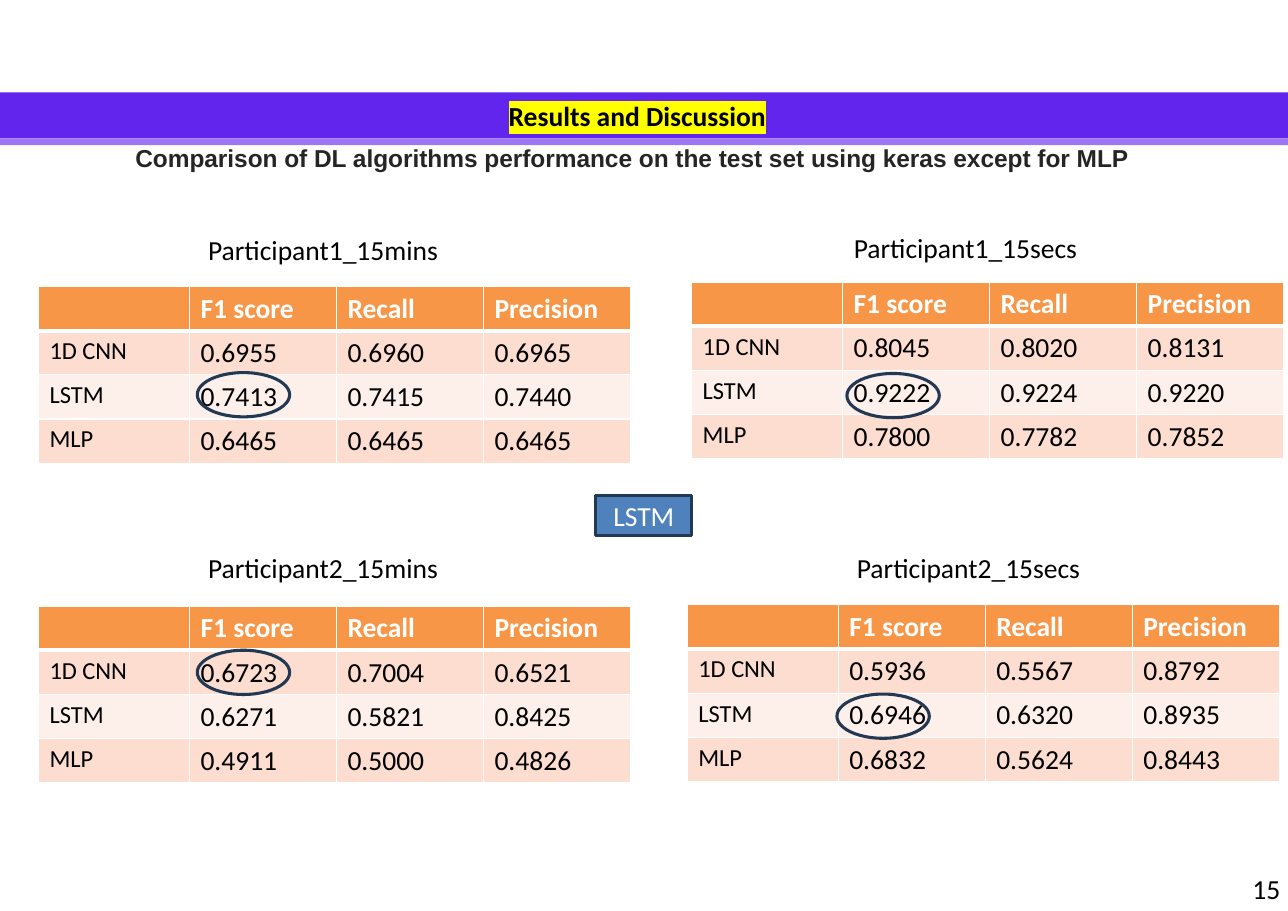
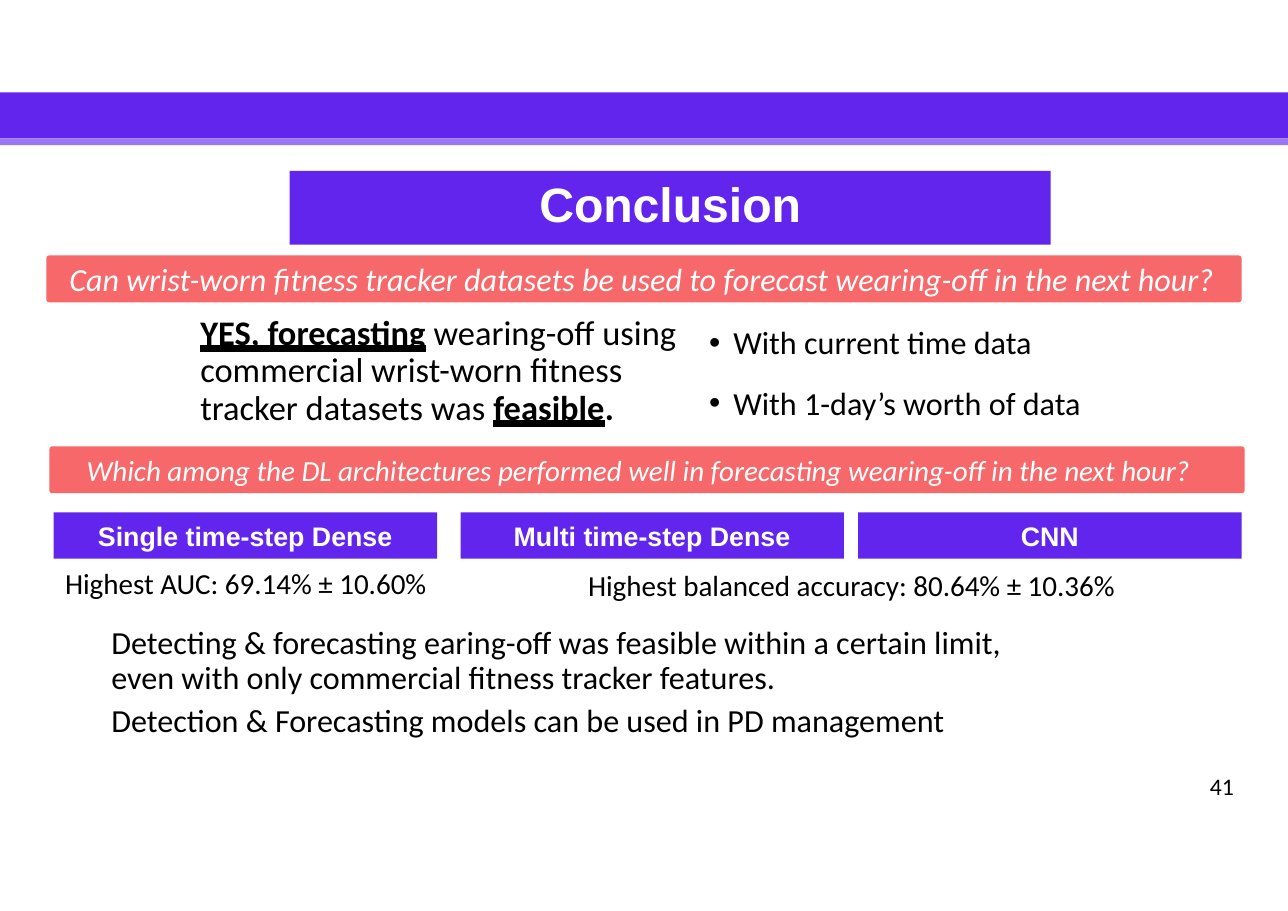
from pptx import Presentation
from pptx.dml.color import RGBColor as RGB
from pptx.enum.shapes import MSO_SHAPE as SHAPE
from pptx.enum.text import MSO_ANCHOR as ANCHOR, MSO_AUTO_SIZE as FIT
from pptx.enum.text import MSO_UNDERLINE as UNDERLINE, PP_ALIGN as ALIGN
from pptx.oxml.ns import qn
from pptx.util import Cm, Pt
from lxml.etree import SubElement, Element

COLORS = {
    "violet": "6125ED", "lilac": "9D77F3", "coral": "F7686A",
    "orange": "F79646", "peach": "FCDDCF", "cream": "FDEFE9",
    "blue": "4F81BD", "navy": "233953", "charcoal": "252525",
    "yellow": "FFFF00", "black": "000000", "white": "FFFFFF",
}


def place(slide, box, kind=None, fill=None, line=None):
    lengths = [Cm(value) for value in box]
    if kind is None:
        part = slide.shapes.add_textbox(*lengths)
    else:
        part = slide.shapes.add_shape(kind, *lengths)
        part.shadow.inherit = False
        if fill:
            part.fill.solid()
            part.fill.fore_color.rgb = RGB.from_string(COLORS[fill])
        else:
            part.fill.background()
        if line:
            part.line.color.rgb = RGB.from_string(COLORS[line])
            part.line.width = Pt(2)
        else:
            part.line.fill.background()
    frame = part.text_frame
    frame.word_wrap = True
    frame.margin_left = frame.margin_right = frame.margin_top = frame.margin_bottom = 0
    return part


def write(paragraph, text, size, color="black", face="Calibri", bold=False, italic=False, underline=None):
    run = paragraph.add_run()
    run.text = text
    font = run.font
    font.size, font.name = Pt(size), face
    font.bold, font.italic, font.underline = bold, italic, underline
    font.color.rgb = RGB.from_string(COLORS[color])
    return run


prs = Presentation()
prs.slide_width, prs.slide_height = Cm(29.7), Cm(21)
title_only = prs.slide_layouts[5]
results = prs.slides.add_slide(title_only)
conclusion = prs.slides.add_slide(title_only)

layout_tree = title_only.shapes[0].element.getparent()
for position, (top, height, color) in enumerate([(2.13, 1.06, "violet"), (3.19, 0.16, "lilac")]):
    band = place(results, (0, top, 29.7, height), SHAPE.RECTANGLE, color)
    layout_tree.insert(2 + position, band.element)

titles = [
    (results, (3.12, 3.3, 25, 0.69), 0, ALIGN.LEFT, 16, "charcoal",
     "Comparison of DL algorithms performance on the test set using keras except for MLP"),
    (conclusion, (6.68, 3.94, 17.55, 1.7), 0.08, ALIGN.CENTER, 31.5, "white", "Conclusion"),
]
for slide, box, inset, align, size, color, text in titles:
    title = slide.shapes.title
    title.left, title.top, title.width, title.height = [Cm(value) for value in box]
    frame = title.text_frame
    frame.auto_size, frame.word_wrap, frame.vertical_anchor = FIT.NONE, True, ANCHOR.TOP
    frame.margin_left = frame.margin_right = frame.margin_bottom = 0
    frame.margin_top = Cm(inset)
    frame.paragraphs[0].alignment = align
    write(frame.paragraphs[0], text, size, color, "Arial", bold=True)
conclusion.shapes.title.fill.solid()
conclusion.shapes.title.fill.fore_color.rgb = RGB.from_string(COLORS["violet"])

section = place(results, (11.73, 2.29, 8, 0.78)).text_frame.paragraphs[0]
heading = write(section, "Results and Discussion", 18, bold=True)
highlight = Element(qn("a:highlight"))
SubElement(highlight, qn("a:srgbClr"), val=COLORS["yellow"])
heading.font.fill
heading._r.rPr.find(qn("a:solidFill")).addnext(highlight)

metrics = ["", "F1 score", "Recall", "Precision"]
models = ["1D CNN", "LSTM", "MLP"]
experiments = [
    ("Participant1_15mins", (4.8, 5.38), (0.89, 6.6), (4.55, 8.59),
     [["0.6955", "0.6960", "0.6965"], ["0.7413", "0.7415", "0.7440"], ["0.6465", "0.6465", "0.6465"]]),
    ("Participant1_15secs", (19.69, 5.33), (15.95, 6.5), (19.53, 8.61),
     [["0.8045", "0.8020", "0.8131"], ["0.9222", "0.9224", "0.9220"], ["0.7800", "0.7782", "0.7852"]]),
    ("Participant2_15mins", (4.8, 12.7), (0.89, 13.97), (4.55, 14.99),
     [["0.6723", "0.7004", "0.6521"], ["0.6271", "0.5821", "0.8425"], ["0.4911", "0.5000", "0.4826"]]),
    ("Participant2_15secs", (19.76, 12.7), (15.85, 13.94), (19.3, 16),
     [["0.5936", "0.5567", "0.8792"], ["0.6946", "0.6320", "0.8935"], ["0.6832", "0.5624", "0.8443"]]),
]
for name, label_at, table_at, best_at, scores in experiments:
    label = place(results, (*label_at, 7, 0.78))
    write(label.text_frame.paragraphs[0], name, 18)

    left, top = table_at
    table = results.shapes.add_table(4, 4, Cm(left), Cm(top), Cm(13.65), Cm(4.08)).table
    for column, width in zip(table.columns, [3.48, 3.39, 3.39, 3.39]):
        column.width = Cm(width)
    rows = [metrics] + [[model, *values] for model, values in zip(models, scores)]
    for r, texts in enumerate(rows):
        table.rows[r].height = Cm(1.02)
        for c, text in enumerate(texts):
            cell = table.cell(r, c)
            cell_properties = cell._tc.get_or_add_tcPr()
            for side in "LRTB":
                thick = (r == 0 and side == "B") or (r == 1 and side == "T")
                border = SubElement(cell_properties, qn(f"a:ln{side}"), w=str(Pt(3 if thick else 1)))
                SubElement(SubElement(border, qn("a:solidFill")), qn("a:srgbClr"), val=COLORS["white"])
            cell.fill.solid()
            shade = "orange" if r == 0 else "peach" if r % 2 else "cream"
            cell.fill.fore_color.rgb = RGB.from_string(COLORS[shade])
            if text:
                write(cell.text_frame.paragraphs[0], text, 16 if r and c == 0 else 18,
                      "black" if r else "white", bold=r == 0)

    place(results, (*best_at, 2.13, 1.02), SHAPE.OVAL, line="navy")

winner = place(results, (13.74, 11.43, 2.21, 0.91), SHAPE.RECTANGLE, "blue", "navy").text_frame
winner.vertical_anchor = ANCHOR.MIDDLE
winner.paragraphs[0].alignment = ALIGN.CENTER
write(winner.paragraphs[0], "LSTM", 18, "white")

questions = [
    ((1.07, 5.89), 0.51, 21,
     "Can wrist-worn fitness tracker datasets be used to forecast wearing-off in the next hour?"),
    ((1.14, 10.29), 0.84, 19,
     "Which among the DL architectures performed well in forecasting wearing-off in the next hour?"),
]
for corner, indent, size, text in questions:
    question = place(conclusion, (*corner, 27.56, 1.08), SHAPE.ROUNDED_RECTANGLE, "coral")
    question.adjustments[0] = 0.06
    frame = question.text_frame
    frame.margin_left, frame.vertical_anchor = Cm(indent), ANCHOR.MIDDLE
    frame.paragraphs[0].alignment = ALIGN.LEFT
    write(frame.paragraphs[0], text, size, "white", italic=True)

answer = place(conclusion, (4.62, 7.26, 11.2, 2.6)).text_frame.paragraphs[0]
answer.line_spacing = 0.91
write(answer, "YES, forecasting", 22.5, bold=True, underline=UNDERLINE.HEAVY_LINE)
write(answer, " wearing-off using commercial wrist-worn fitness tracker datasets was ", 22.5)
write(answer, "feasible", 22.5, bold=True, underline=UNDERLINE.HEAVY_LINE)
write(answer, ".", 22.5, bold=True)

inputs = place(conclusion, (16.33, 7.44, 8.64, 2.3)).text_frame
for i, text in enumerate(["With current time data", "With 1-day’s worth of data"]):
    item = inputs.paragraphs[0] if i == 0 else inputs.add_paragraph()
    properties = item._p.get_or_add_pPr()
    properties.set("marL", str(Cm(0.58)))
    properties.set("indent", str(-Cm(0.56)))
    SubElement(properties, qn("a:buFont"), typeface="Arial")
    SubElement(properties, qn("a:buChar"), char="•")
    if i:
        item.space_before = Pt(14.2)
    write(item, text, 21)

for left, text in [(1.24, "Single time-step Dense"), (10.62, "Multi time-step Dense"), (19.79, "CNN")]:
    model = place(conclusion, (left, 11.81, 8.84, 1.07), SHAPE.RECTANGLE, "violet").text_frame
    model.vertical_anchor = ANCHOR.MIDDLE
    model.paragraphs[0].alignment = ALIGN.CENTER
    write(model.paragraphs[0], text, 17.5, "white", "Arial", bold=True)

for box, text in [((1.5, 13.03, 8.7, 0.85), "Highest AUC: 69.14% ± 10.60%"),
                  ((13.56, 13.08, 12.5, 0.85), "Highest balanced accuracy: 80.64% ± 10.36%")]:
    write(place(conclusion, box).text_frame.paragraphs[0], text, 19)

closing = place(conclusion, (2.57, 14.43, 20.64, 2.6)).text_frame
limit = closing.paragraphs[0]
limit.line_spacing = Pt(22.7)
write(limit, "Detecting & forecasting earing-off was feasible within a certain limit, "
             "even with only commercial fitness tracker features.", 21)
outlook = closing.add_paragraph()
outlook.space_before = Pt(3)
write(outlook, "Detection & Forecasting models can be used in PD management", 21)

for slide, box, number, size in [(results, (28.88, 20.09, 0.8, 0.78), "15", 18),
                                 (conclusion, (27.9, 17.8, 0.8, 0.64), "41", 15.5)]:
    write(place(slide, box).text_frame.paragraphs[0], number, size)

prs.save("out.pptx")
